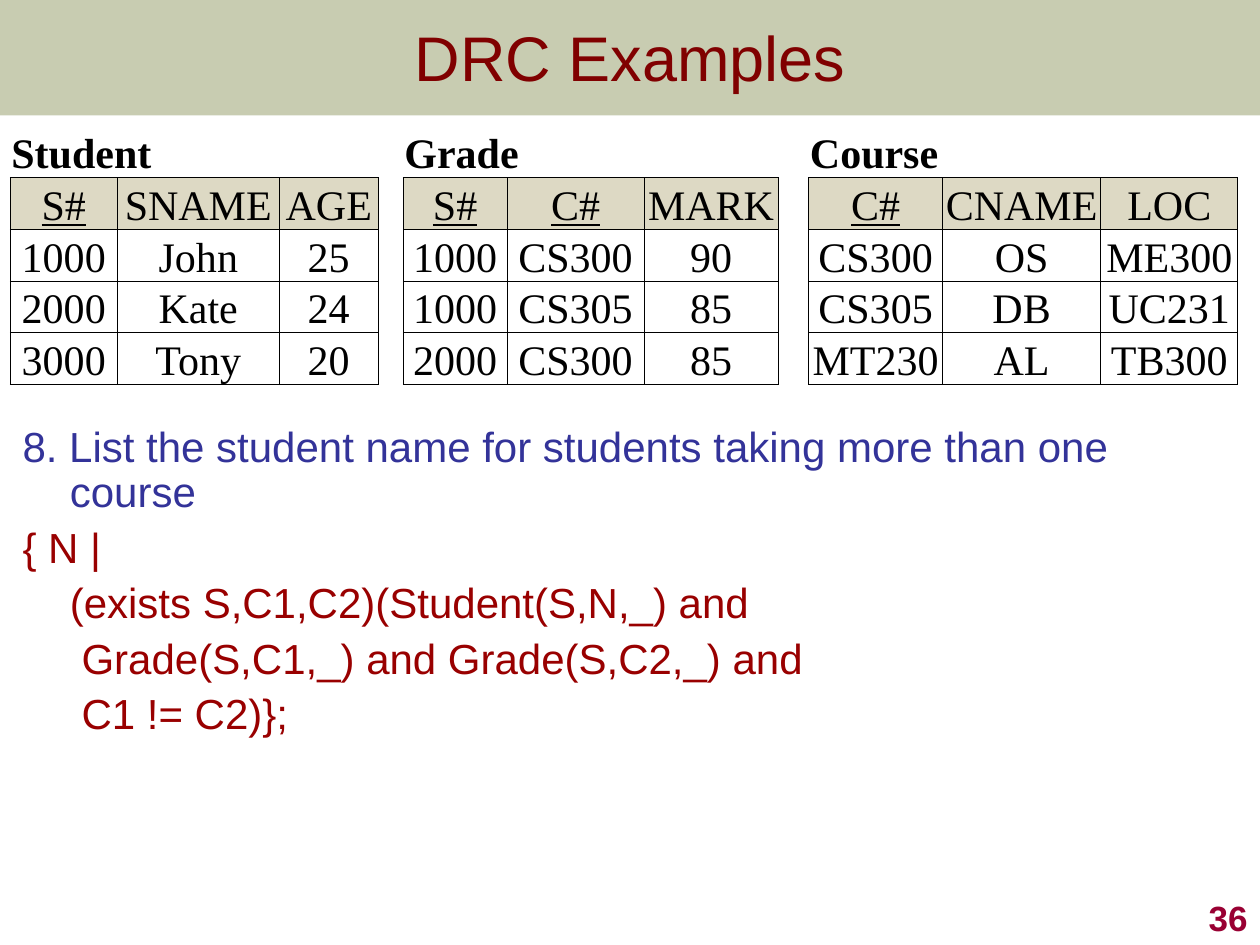
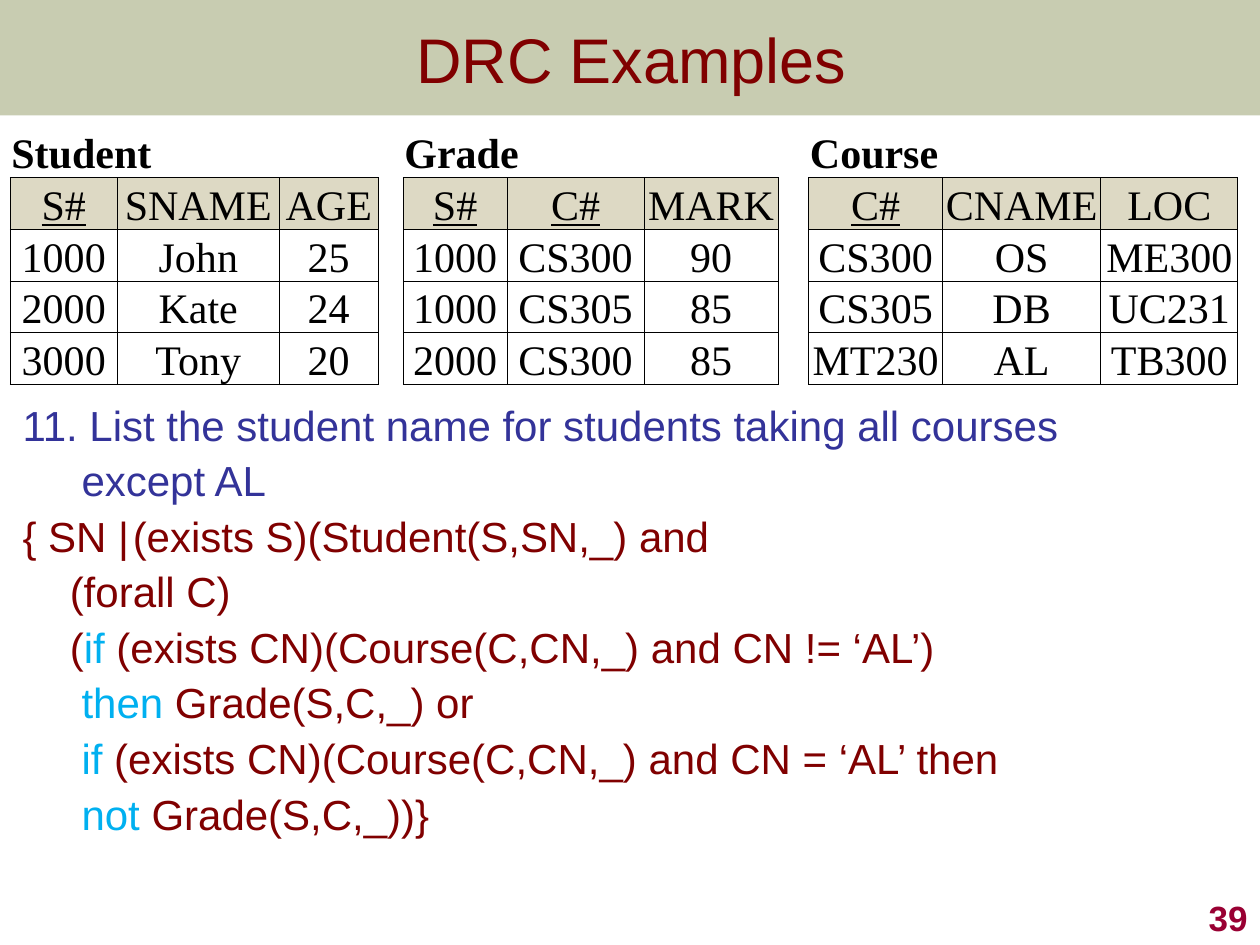
"""Build two slides of domain relational calculus examples."""
from dataclasses import dataclass

import pptx
import pptx.dml.color
import pptx.enum.shapes
import pptx.enum.text
import pptx.oxml.ns
import pptx.slide
import pptx.table
import pptx.text.text
import pptx.util
from lxml import etree

Pt = pptx.util.Pt
RGBColor = pptx.dml.color.RGBColor
Align = pptx.enum.text.PP_ALIGN
Anchor = pptx.enum.text.MSO_ANCHOR
qn = pptx.oxml.ns.qn

OLIVE = RGBColor(0x67, 0x72, 0x28)
MAROON = RGBColor(0x80, 0x00, 0x00)
RED = RGBColor(0x99, 0x00, 0x00)
CRIMSON = RGBColor(0x99, 0x00, 0x33)
INDIGO = RGBColor(0x33, 0x33, 0x99)
CYAN = RGBColor(0x00, 0xB0, 0xF0)
SAND = RGBColor(0xDD, 0xD9, 0xC4)
WHITE = RGBColor(0xFF, 0xFF, 0xFF)
BLACK = RGBColor(0x00, 0x00, 0x00)

SANS = "Arial"
SERIF = "Times New Roman"
HANG = 27
STEP = 33.7
ROW_HEIGHT = 27.4
GAP_WIDTHS = (14.3, 17.6)
ALL_SIDES = "LRTB"


@dataclass(frozen=True)
class Frame:
    """Position and size in points."""
    left: float
    top: float
    width: float
    height: float

    def lengths(self) -> tuple:
        """Return the four values as lengths."""
        return Pt(self.left), Pt(self.top), Pt(self.width), Pt(self.height)


@dataclass(frozen=True)
class Relation:
    """A named relation with its key columns first."""
    name: str
    keys: int
    widths: tuple[float, ...]
    rows: tuple[tuple[str, ...], ...]


@dataclass(frozen=True)
class Line:
    """One paragraph of coloured spans; no indent means a hanging one."""
    spans: tuple[tuple[str, RGBColor], ...]
    indent: float | None = None


@dataclass(frozen=True)
class Example:
    """What differs from one slide to the next."""
    number: int
    title: Frame
    body: Frame
    lines: tuple[Line, ...]


RELATIONS = (
    Relation("Student", 1, (61.2, 92.6, 56.5), (
        ("S#", "SNAME", "AGE"), ("1000", "John", "25"),
        ("2000", "Kate", "24"), ("3000", "Tony", "20"))),
    Relation("Grade", 2, (59.4, 78.3, 76.5), (
        ("S#", "C#", "MARK"), ("1000", "CS300", "90"),
        ("1000", "CS305", "85"), ("2000", "CS300", "85"))),
    Relation("Course", 1, (76.5, 90.4, 78.4), (
        ("C#", "CNAME", "LOC"), ("CS300", "OS", "ME300"),
        ("CS305", "DB", "UC231"), ("MT230", "AL", "TB300"))),
)

EXAMPLES = (
    Example(36, Frame(0, 0, 720, 64), Frame(5.8, 240, 677, 258), (
        Line((("8. List the student name for students taking more than one course", INDIGO),)),
        Line((("{ N |", RED),)),
        Line((("(exists S,C1,C2)(Student(S,N,_) and", RED),), HANG),
        Line((("Grade(S,C1,_) and Grade(S,C2,_) and", RED),), STEP),
        Line((("C1 != C2)};", RED),), STEP),
    )),
    Example(39, Frame(1.5, 0.7, 718.5, 65.5), Frame(5.8, 228, 701, 288), (
        Line((("11. List the student name for students taking all courses", INDIGO),)),
        Line((("except AL", INDIGO),), STEP),
        Line((("{ SN |\t(exists S)(Student(S,SN,_) and", MAROON),)),
        Line((("(forall C)", MAROON),), HANG),
        Line((("(", MAROON), ("if ", CYAN),
              ("(exists CN)(Course(C,CN,_) and CN != ‘AL’)", MAROON)), HANG),
        Line((("then", CYAN), (" Grade(S,C,_) or", MAROON)), STEP),
        Line((("if ", CYAN),
              ("(exists CN)(Course(C,CN,_) and CN = ‘AL’ then", MAROON)), STEP),
        Line((("not", CYAN), (" Grade(S,C,_))}", MAROON)), STEP),
    )),
)


def style_para(para: pptx.text.text._Paragraph, size: float, name: str,
               color: RGBColor | None = None, bold: bool = False) -> None:
    """Set the font that all spans of a paragraph share."""
    para.font.size = Pt(size)
    para.font.name = name
    para.font.bold = bold
    if color is not None:
        para.font.color.rgb = color


def add_band(page: pptx.slide.Slide) -> None:
    """Draw the translucent band behind the title."""
    band = page.shapes.add_shape(pptx.enum.shapes.MSO_SHAPE.RECTANGLE,
                                 *Frame(0, 0, 720, 66).lengths())
    band.shadow.inherit = False
    band.line.fill.background()
    band.fill.solid()
    band.fill.fore_color.rgb = OLIVE
    color = band.fill._xPr.find(".//" + qn("a:srgbClr"))
    etree.SubElement(color, qn("a:alpha")).set("val", "36000")


def add_label(page: pptx.slide.Slide, frame: Frame, text: str, size: float,
              color: RGBColor, align: Align, anchor: Anchor, bold: bool = False) -> None:
    """Add a text box that holds a single line."""
    box = page.shapes.add_textbox(*frame.lengths())
    box.text_frame.word_wrap = True
    box.text_frame.vertical_anchor = anchor
    para = box.text_frame.paragraphs[0]
    para.text = text
    para.alignment = align
    style_para(para, size, SANS, color, bold)


def add_body(page: pptx.slide.Slide, frame: Frame, lines: tuple[Line, ...]) -> None:
    """Add the question and its answer."""
    text_frame = page.shapes.add_textbox(*frame.lengths()).text_frame
    text_frame.word_wrap = True
    text_frame.margin_right = Pt(0)
    for index, line in enumerate(lines):
        para = text_frame.add_paragraph() if index else text_frame.paragraphs[0]
        hanging = line.indent is None
        properties = para._p.get_or_add_pPr()
        properties.set("marL", str(Pt(HANG if hanging else line.indent)))
        properties.set("indent", str(Pt(-HANG if hanging else 0)))
        para.line_spacing = 0.9
        para.space_before = Pt(5.8 if index else 0)
        shared = line.spans[0][1] if len(line.spans) == 1 else None
        style_para(para, 24, SANS, shared)
        for text, color in line.spans:
            span = para.add_run()
            span.text = text
            if shared is None:
                span.font.color.rgb = color


def style_cell(cell: pptx.table._Cell, sides: str, fill: RGBColor) -> None:
    """Set borders, fill, margins and font of a table cell."""
    properties = cell._tc.get_or_add_tcPr()
    for side in ALL_SIDES:
        border = etree.SubElement(properties, qn(f"a:ln{side}"), w=str(Pt(0.5)))
        if side in sides:
            paint = etree.SubElement(border, qn("a:solidFill"))
            etree.SubElement(paint, qn("a:srgbClr")).set("val", str(BLACK))
        else:
            etree.SubElement(border, qn("a:noFill"))
    cell.fill.solid()
    cell.fill.fore_color.rgb = fill
    cell.margin_left = cell.margin_top = cell.margin_right = Pt(0.72)
    cell.margin_bottom = Pt(0)
    cell.vertical_anchor = Anchor.BOTTOM
    style_para(cell.text_frame.paragraphs[0], 24, SERIF, BLACK)


def fill_relation(table: pptx.table.Table, relation: Relation, first: int) -> None:
    """Write one relation into the table from the given column on."""
    last = first + len(relation.widths) - 1
    for column in range(first, last + 1):
        style_cell(table.cell(0, column), "B", WHITE)
    heading = table.cell(0, first)
    heading.merge(table.cell(0, last))
    heading.text_frame.paragraphs[0].text = relation.name
    heading.text_frame.paragraphs[0].font.bold = True
    for row, values in enumerate(relation.rows, 1):
        for offset, value in enumerate(values):
            cell = table.cell(row, first + offset)
            style_cell(cell, ALL_SIDES, SAND if row == 1 else WHITE)
            para = cell.text_frame.paragraphs[0]
            para.text = value
            para.alignment = Align.CENTER
            if row == 1 and offset < relation.keys:
                para.font.underline = True


def add_relations(page: pptx.slide.Slide) -> None:
    """Add the table with the three relations side by side."""
    widths: list[float] = []
    starts: list[int] = []
    for index, relation in enumerate(RELATIONS):
        if index:
            widths.append(GAP_WIDTHS[index - 1])
        starts.append(len(widths))
        widths.extend(relation.widths)
    count = len(RELATIONS[0].rows) + 1
    frame = Frame(5.8, 72, sum(widths), count * ROW_HEIGHT)
    table = page.shapes.add_table(count, len(widths), *frame.lengths()).table
    table.first_row = table.horz_banding = False
    for column, width in zip(table.columns, widths):
        column.width = Pt(width)
    for row in table.rows:
        row.height = Pt(ROW_HEIGHT)
    for relation, first in zip(RELATIONS, starts):
        fill_relation(table, relation, first)
    for first in starts[1:]:
        for row in range(count):
            style_cell(table.cell(row, first - 1), "LR" if row else "", WHITE)


def main() -> None:
    """Build and save the deck."""
    deck = pptx.Presentation()
    deck.slide_width, deck.slide_height = Pt(720), Pt(540)
    for example in EXAMPLES:
        page = deck.slides.add_slide(deck.slide_layouts[6])
        add_band(page)
        add_body(page, example.body, example.lines)
        add_label(page, example.title, "DRC Examples", 36, MAROON,
                  Align.CENTER, Anchor.MIDDLE)
        add_label(page, Frame(570, 504, 150, 36), str(example.number), 20, CRIMSON,
                  Align.RIGHT, Anchor.BOTTOM, bold=True)
        add_relations(page)
    deck.save("out.pptx")


if __name__ == "__main__":
    main()
